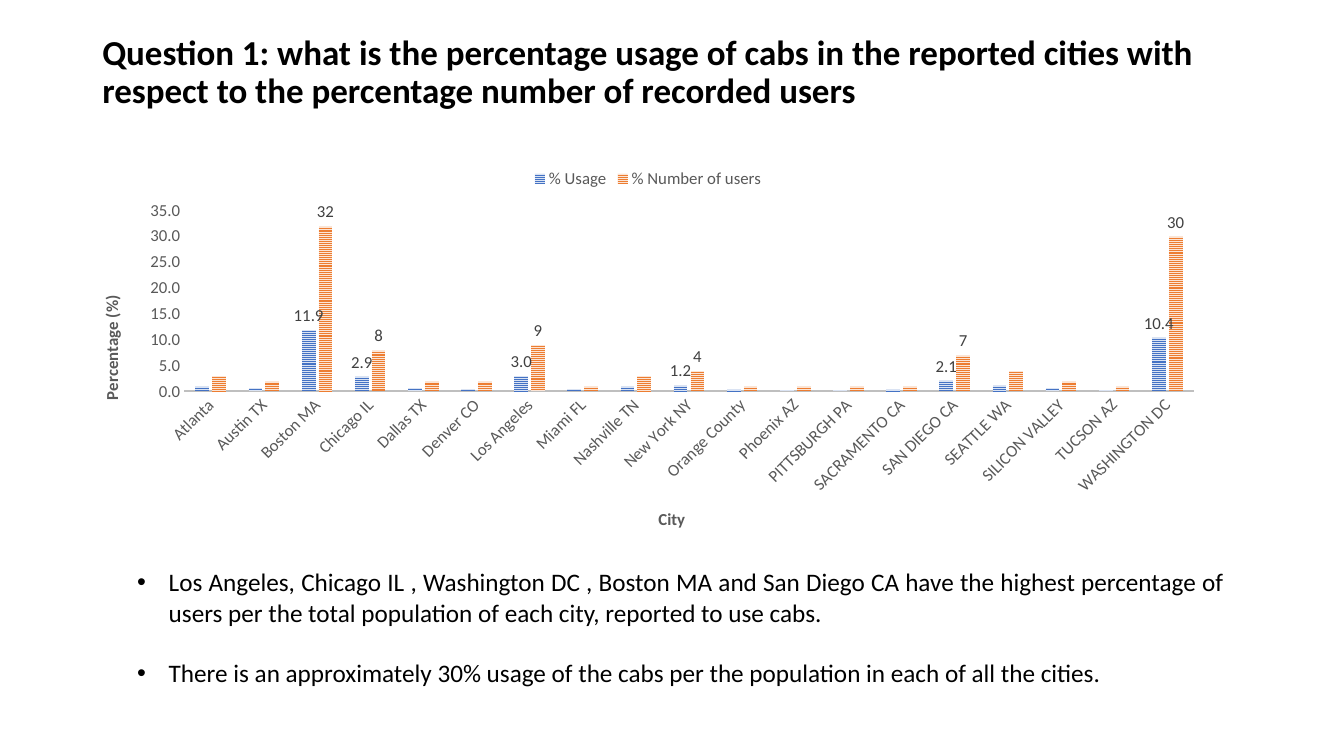
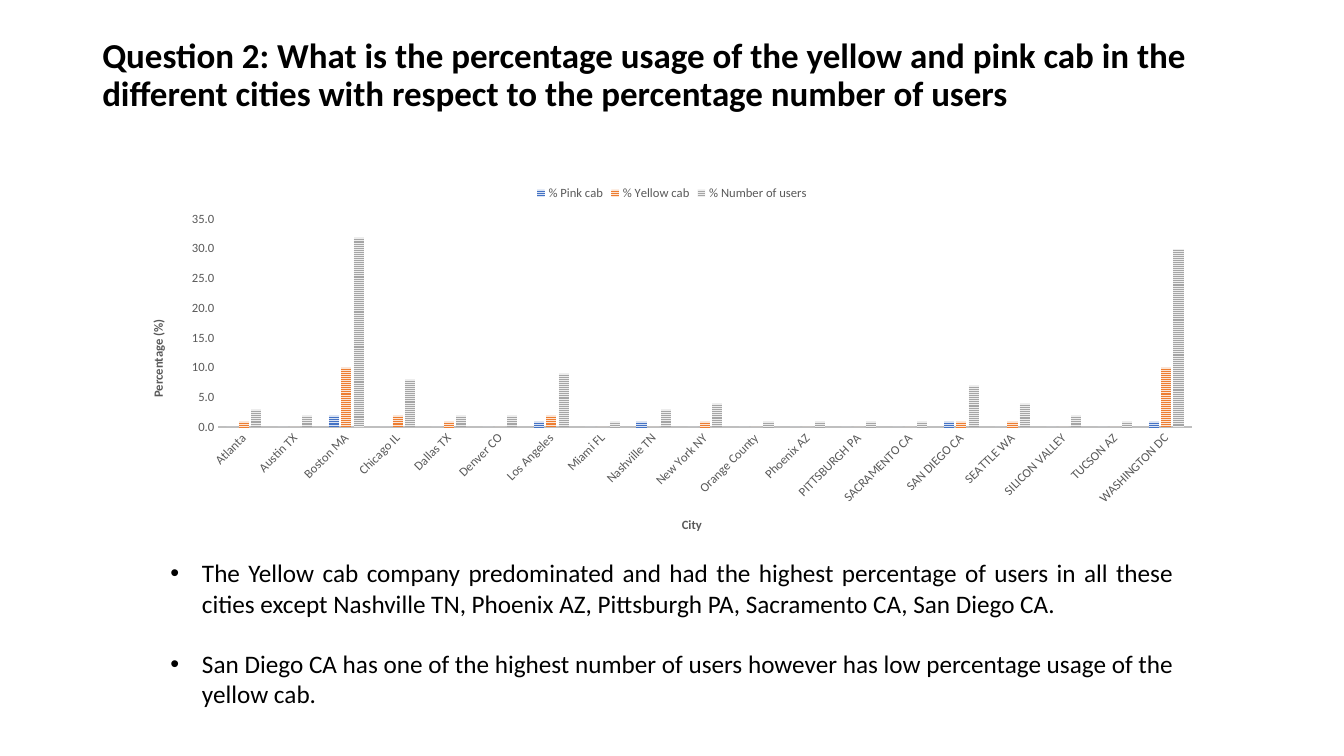
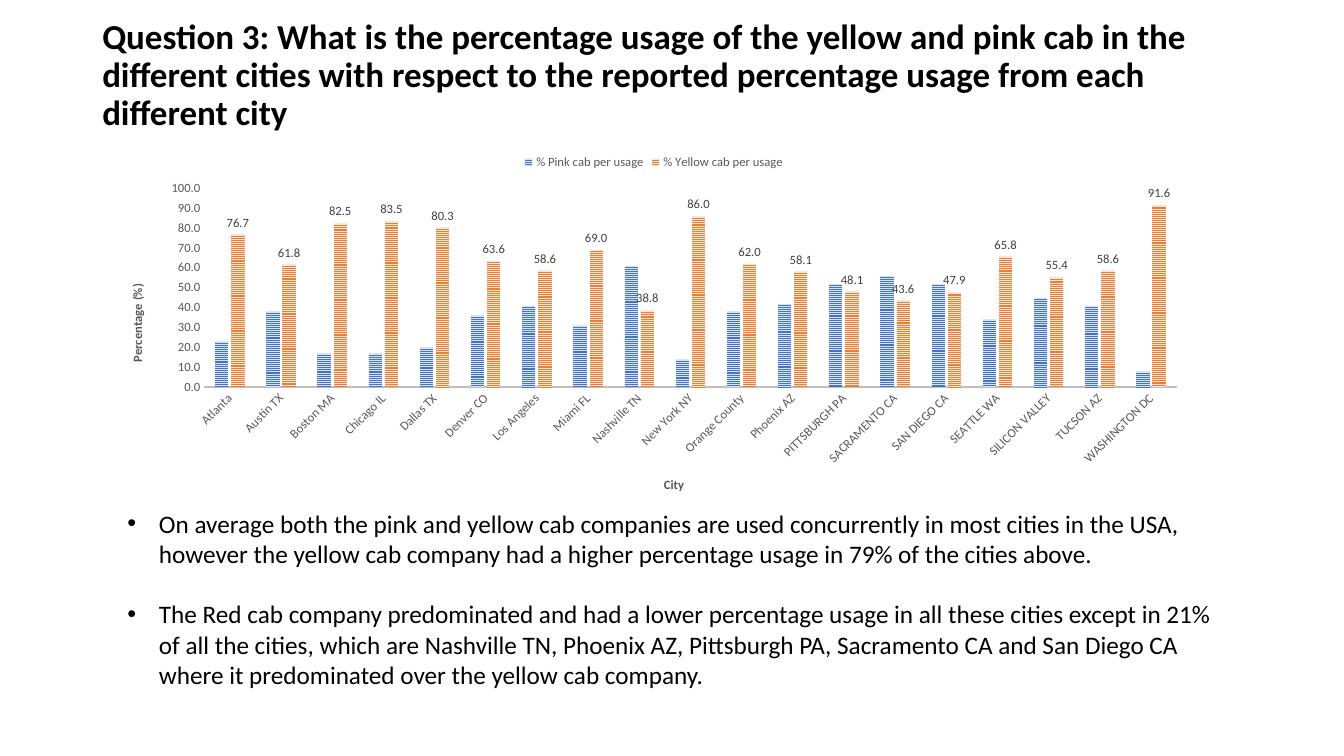
import dataclasses
import typing

import lxml.etree
import pptx
import pptx.chart.data
import pptx.dml.color
import pptx.enum.chart
import pptx.enum.dml
import pptx.enum.text
import pptx.oxml.ns
import pptx.util

Pt = pptx.util.Pt
qn = pptx.oxml.ns.qn
ALIGN = pptx.enum.text.PP_ALIGN
FONT = "Calibri"
BLACK, GREY, DARK, RULE = "000000", "595959", "404040", "BFBFBF"
BLUE = ("4472C4", "DAE3F3")
ORANGE = ("ED7D31", "FBE5D6")
SILVER = ("A5A5A5", "EDEDED")

CITIES = [
    "Atlanta", "Austin TX", "Boston MA", "Chicago IL", "Dallas TX", "Denver CO",
    "Los Angeles", "Miami FL", "Nashville TN", "New York NY", "Orange County",
    "Phoenix AZ", "PITTSBURGH PA", "SACRAMENTO CA", "SAN DIEGO CA", "SEATTLE WA",
    "SILICON VALLEY", "TUCSON AZ", "WASHINGTON DC",
]
USAGE = [0.9, 0.7, 11.9, 2.9, 0.7, 0.5, 3.0, 0.5, 0.9, 1.2,
         0.4, 0.2, 0.2, 0.4, 2.1, 1.2, 0.7, 0.3, 10.4]
USERS = [3, 2, 32, 8, 2, 2, 9, 1, 3, 4, 1, 1, 1, 1, 7, 4, 2, 1, 30]
PINK = [0, 0, 2, 0, 0, 0, 1, 0, 1, 0, 0, 0, 0, 0, 1, 0, 0, 0, 1]
YELLOW = [1, 0, 10, 2, 1, 0, 2, 0, 0, 1, 0, 0, 0, 0, 1, 1, 0, 0, 10]
PINK_SHARE = [23, 38, 17, 17, 20, 36, 41, 31, 61, 14,
              38, 42, 52, 56, 52, 34, 45, 41, 8]
YELLOW_SHARE = [76.7, 61.8, 82.5, 83.5, 80.3, 63.6, 58.6, 69, 38.8, 86,
                62, 58.1, 48.1, 43.6, 47.9, 65.8, 55.4, 58.6, 91.6]
PEAKS = (2, 3, 6, 9, 14, 18)
ALL = tuple(range(len(CITIES)))


class Box(typing.NamedTuple):
    left: float
    top: float
    width: float
    height: float


class Spot(typing.NamedTuple):
    left: float
    top: float


class Bars(typing.NamedTuple):
    name: str
    values: list[float]
    paint: tuple[str, str]
    marks: tuple[int, ...] = ()
    form: str = "0.0"


@dataclasses.dataclass
class Graph:
    box: Box
    plot: Box
    base: Spot
    side: Spot
    size: float
    high: float
    step: float
    bars: list[Bars]


@dataclasses.dataclass
class Page:
    title: str
    top: float
    graph: Graph
    notes: Box
    points: list[str]
    align: typing.Any


def tint(code: str) -> pptx.dml.color.RGBColor:
    return pptx.dml.color.RGBColor.from_string(code)


def style(font: typing.Any, size: float, code: str, bold: bool = False) -> None:
    font.name = FONT
    font.size = Pt(size)
    font.bold = bold
    font.color.rgb = tint(code)


def frame(slide: typing.Any, box: Box) -> typing.Any:
    text = slide.shapes.add_textbox(*map(Pt, box)).text_frame
    text.word_wrap = True
    return text


def write(para: typing.Any, words: str, size: float, code: str, bold: bool = False) -> None:
    run = para.add_run()
    run.text = words
    style(run.font, size, code, bold)


def place(node: typing.Any, index: int, outer: Box, inner: Box | Spot) -> None:
    for old in node.findall(qn("c:layout")):
        node.remove(old)
    spots = {"xMode": "edge", "yMode": "edge",
             "x": (inner.left - outer.left) / outer.width,
             "y": (inner.top - outer.top) / outer.height}
    if isinstance(inner, Box):
        spots = {"layoutTarget": "inner"} | spots | {
            "w": inner.width / outer.width, "h": inner.height / outer.height}
    layout = lxml.etree.Element(qn("c:layout"))
    manual = lxml.etree.SubElement(layout, qn("c:manualLayout"))
    for tag, value in spots.items():
        lxml.etree.SubElement(manual, qn(f"c:{tag}")).set("val", str(value))
    node.insert(index, layout)


def name_axis(axis: typing.Any, words: str, graph: Graph, spot: Spot, turn: int) -> None:
    title = axis.axis_title
    write(title.text_frame.paragraphs[0], words, graph.size, GREY, True)
    body = title._element.find(".//" + qn("a:bodyPr"))
    body.set("rot", str(turn * 60000))
    body.set("vert", "horz")
    place(title._element, 1, graph.box, spot)


def paint_bars(line: typing.Any, bars: Bars, size: float) -> None:
    fill = line.format.fill
    fill.patterned()
    fill.pattern = pptx.enum.dml.MSO_PATTERN.NARROW_HORIZONTAL
    fill.fore_color.rgb, fill.back_color.rgb = map(tint, bars.paint)
    line.invert_if_negative = False
    outer = pptx.enum.chart.XL_LABEL_POSITION.OUTSIDE_END
    if bars.marks == ALL:
        labels = line.data_labels
        labels.show_value = True
        labels.number_format = bars.form
        labels.number_format_is_linked = False
        labels.position = outer
        style(labels.font, size, DARK)
    elif bars.marks:
        line.data_labels.show_value = False
        for mark in bars.marks:
            label = line.points[mark].data_label
            style(label.font, size, DARK)
            label.position = outer


def draw_graph(slide: typing.Any, graph: Graph) -> None:
    kinds = pptx.enum.chart
    data = pptx.chart.data.CategoryChartData()
    data.categories = CITIES
    for bars in graph.bars:
        data.add_series(bars.name, bars.values, number_format=bars.form)
    chart = slide.shapes.add_chart(
        kinds.XL_CHART_TYPE.COLUMN_CLUSTERED, *map(Pt, graph.box), data).chart
    style(chart.font, 10, BLACK)
    chart.has_title = False
    chart.has_legend = True
    chart.legend.position = kinds.XL_LEGEND_POSITION.TOP
    chart.legend.include_in_layout = False
    style(chart.legend.font, graph.size, GREY)

    cats, vals = chart.category_axis, chart.value_axis
    for axis in (cats, vals):
        axis.has_major_gridlines = False
        axis.major_tick_mark = axis.minor_tick_mark = kinds.XL_TICK_MARK.NONE
        style(axis.tick_labels.font, graph.size, GREY)
    cats.format.line.color.rgb = tint(RULE)
    cats.format.line.width = Pt(1.5)
    cats._element.find(qn("c:txPr")).find(qn("a:bodyPr")).set("rot", "-2700000")
    vals.format.line.fill.background()
    vals.minimum_scale, vals.maximum_scale, vals.major_unit = 0, graph.high, graph.step
    vals.tick_labels.number_format = "0.0"
    vals.tick_labels.number_format_is_linked = False
    name_axis(cats, "City", graph, graph.base, 0)
    name_axis(vals, "Percentage (%)", graph, graph.side, -90)

    plot = chart.plots[0]
    plot.gap_width, plot.overlap, plot.vary_by_categories = 164, -22, False
    for line, bars in zip(plot.series, graph.bars):
        paint_bars(line, bars, graph.size)
    area = chart._chartSpace.find(".//" + qn("c:plotArea"))
    place(area, 0, graph.box, graph.plot)


def draw_title(slide: typing.Any, words: str, top: float) -> None:
    text = frame(slide, Box(66, top, 828, 104.4))
    text.vertical_anchor = pptx.enum.text.MSO_ANCHOR.MIDDLE
    text.paragraphs[0].line_spacing = 0.9
    write(text.paragraphs[0], words, 25, BLACK, True)


def draw_points(slide: typing.Any, page: Page) -> None:
    text = frame(slide, page.notes)
    for index, words in enumerate(page.points):
        para = text.add_paragraph() if index else text.paragraphs[0]
        para.alignment = page.align
        para.space_before = Pt(21.6 if index else 0)
        props = para._p.get_or_add_pPr()
        props.set("marL", str(Pt(22.5)))
        props.set("indent", str(-Pt(22.5)))
        lxml.etree.SubElement(props, qn("a:buFont")).set("typeface", "Arial")
        lxml.etree.SubElement(props, qn("a:buChar")).set("char", "•")
        write(para, words, 18, BLACK)


PAGES = [
    Page(
        "Question 1: what is the percentage usage of cabs in the reported cities with "
        "respect to the percentage number of recorded users",
        0,
        Graph(Box(56.9, 112.3, 812.2, 280.8), Box(131.6, 150.3, 721.2, 129.2),
              Spot(468.2, 360.3), Spot(69.5, 208.8), 12, 35, 5, [
                  Bars("% Usage", USAGE, BLUE, PEAKS),
                  Bars("% Number of users", USERS, ORANGE, PEAKS, "0")]),
        Box(90.9, 401.2, 790.6, 94.3),
        ["Los Angeles, Chicago IL , Washington DC , Boston MA and San Diego CA have the "
         "highest percentage of users per the total population of each city, reported to "
         "use cabs.",
         "There is an approximately 30% usage of the cabs per the population in each of "
         "all the cities."],
        ALIGN.JUSTIFY,
    ),
    Page(
        "Question 2: What is the percentage usage of the yellow and pink cab in the "
        "different cities with respect to the percentage number of users",
        2,
        Graph(Box(92.9, 124.6, 774, 270), Box(155.9, 156.5, 695.5, 148.5),
              Spot(485.4, 367.6), Spot(105.5, 226.4), 9, 35, 5, [
                  Bars("% Pink cab", PINK, BLUE),
                  Bars("% Yellow cab", YELLOW, ORANGE),
                  Bars("% Number of users", USERS, SILVER)]),
        Box(114.7, 394.8, 730.8, 116.6),
        ["The Yellow cab company predominated and had the highest percentage of users in "
         "all these cities except Nashville TN, Phoenix AZ, Pittsburgh PA, Sacramento CA, "
         "San Diego CA.",
         "San Diego CA has one of the highest number of users however has low percentage "
         "usage of the yellow cab."],
        ALIGN.JUSTIFY,
    ),
    Page(
        "Question 3: What is the percentage usage of the yellow and pink cab in the "
        "different cities with respect to the reported percentage usage from each "
        "different city",
        2,
        Graph(Box(77.8, 102.5, 778.3, 264.2), Box(145.9, 134.4, 694.6, 142.2),
              Spot(472.6, 338.6), Spot(90.5, 201.2), 9, 100, 10, [
                  Bars("% Pink cab per usage", PINK_SHARE, BLUE),
                  Bars("% Yellow cab per usage", YELLOW_SHARE, ORANGE, ALL)]),
        Box(84, 359.2, 792, 138.2),
        ["On average both the pink and yellow cab companies are used concurrently in most "
         "cities in the USA, however the yellow cab company had a higher percentage usage "
         "in 79% of the cities above.",
         "The Red cab company predominated and had a lower percentage usage in all these "
         "cities except in 21% of all the cities, which are Nashville TN, Phoenix AZ, "
         "Pittsburgh PA, Sacramento CA and San Diego CA where it predominated over the "
         "yellow cab company."],
        ALIGN.LEFT,
    ),
]


def main() -> None:
    deck = pptx.Presentation()
    deck.slide_width, deck.slide_height = Pt(960), Pt(540)
    for page in PAGES:
        slide = deck.slides.add_slide(deck.slide_layouts[6])
        draw_title(slide, page.title, page.top)
        draw_graph(slide, page.graph)
        draw_points(slide, page)
    deck.save("out.pptx")


if __name__ == "__main__":
    main()
